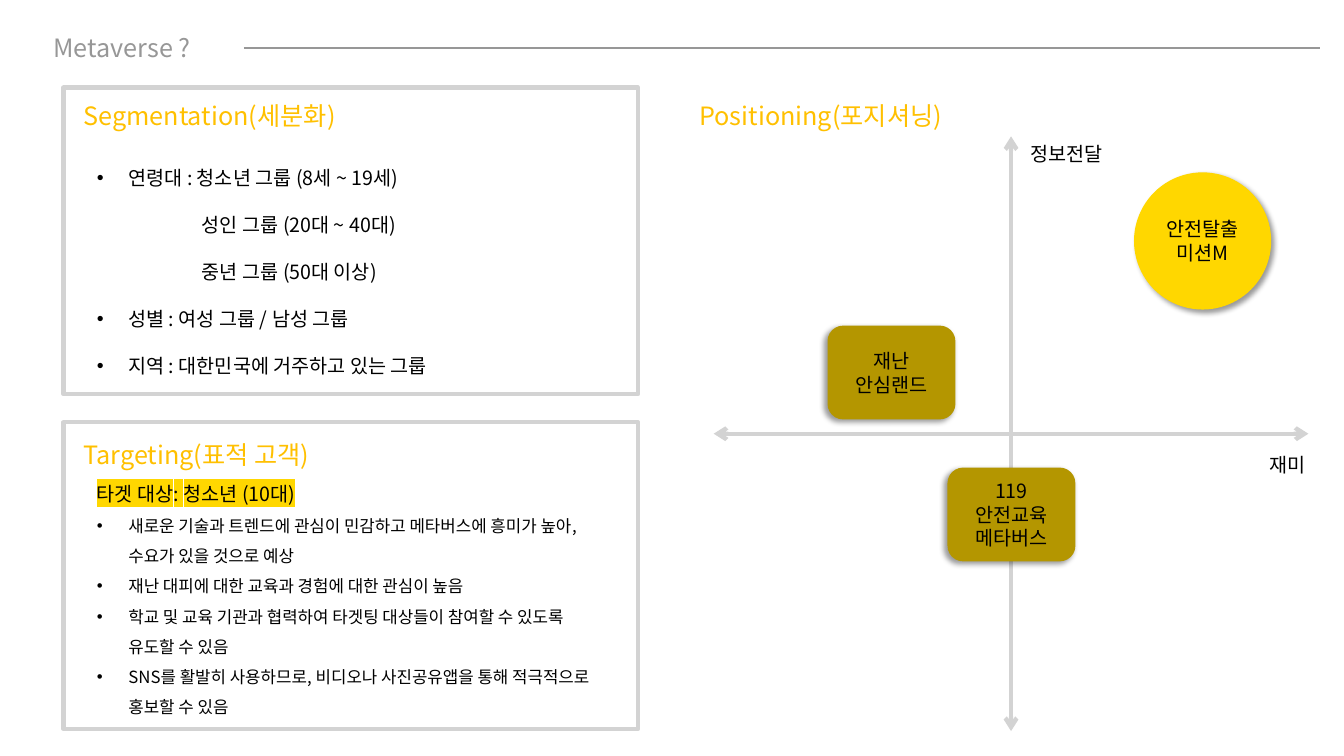
from lxml import etree
from pptx import Presentation
from pptx import util as u
from pptx.dml import color
from pptx.enum import shapes, text
from pptx.oxml import ns

COLORS = {"grey": "979797", "frame": "D3D3D3", "heading": "FFC000",
          "ink": "000000", "own": "FFD700", "rival": "B49600"}
FONT = "Noto Sans CJK KR"
LEFT, CENTER, RIGHT = text.PP_ALIGN.LEFT, text.PP_ALIGN.CENTER, text.PP_ALIGN.RIGHT


def rgb(name):
    return color.RGBColor.from_string(COLORS[name])


def child(parent, tag, **attrs):
    return etree.SubElement(parent, ns.qn(tag), attrs)


class SlideBuilder:
    def __init__(self, slide):
        self.s = slide

    def place(self, sp, x, y, w, h):
        sp.left, sp.top, sp.width, sp.height = (u.Pt(v) for v in (x, y, w, h))

    def frame(self, sp, anchor=text.MSO_ANCHOR.TOP):
        tf = sp.text_frame
        tf.word_wrap = True
        tf.auto_size = text.MSO_AUTO_SIZE.NONE
        tf.vertical_anchor = anchor
        return tf

    def fill_text(self, tf, lines, size=14, ink="ink", align=LEFT):
        tf.text = "\n".join(lines)
        for p in tf.paragraphs:
            self.style(p, size, ink, align)

    def style(self, p, size, ink="ink", align=LEFT):
        p.alignment = align
        p.space_before = u.Pt(0)
        p.font.size = u.Pt(size)
        p.font.name = FONT
        p.font.color.rgb = rgb(ink)
        child(p.font._element, "a:ea", typeface=FONT)

    def title(self, line, *box):
        sp = self.s.shapes.title
        self.place(sp, *box)
        self.fill_text(self.frame(sp), [line], 18, "grey")

    def label(self, line, *box, size=14, ink="ink", align=LEFT):
        sp = self.s.shapes.add_textbox(*(u.Pt(v) for v in box))
        self.fill_text(self.frame(sp), [line], size, ink, align)

    def body(self, idx, items, *box):
        sp = self.s.placeholders[idx]
        self.place(sp, *box)
        tf = self.frame(sp)
        for i, (line, kind, size, spacing) in enumerate(items):
            p = tf.paragraphs[0] if i == 0 else tf.add_paragraph()
            r = p.add_run()
            r.text = line
            p.line_spacing = spacing
            p.space_before = u.Pt(0)
            pPr = p._p.get_or_add_pPr()
            margin, indent = {"bullet": (22.5, -22.5), "sub": (75, 0), "mark": (0, 0)}[kind]
            pPr.set("marL", str(u.Pt(margin)))
            pPr.set("indent", str(u.Pt(indent)))
            if kind == "bullet":
                child(pPr, "a:buFont", typeface="Arial")
                child(pPr, "a:buChar", char="•")
            else:
                child(pPr, "a:buNone")
            if kind == "sub":
                p.level = 1
            if kind == "mark":
                mark = child(r._r.get_or_add_rPr(), "a:highlight")
                child(mark, "a:srgbClr", val=COLORS["own"])
            self.style(p, size)

    def line(self, x1, y1, x2, y2, ink, width, arrows=False):
        c = self.s.shapes.add_connector(
            shapes.MSO_CONNECTOR.STRAIGHT, *(u.Pt(v) for v in (x1, y1, x2, y2)))
        c.line.color.rgb = rgb(ink)
        c.line.width = u.Pt(width)
        spPr = c._element.spPr
        if arrows:
            for end in ("a:headEnd", "a:tailEnd"):
                child(spPr.find(ns.qn("a:ln")), end, type="arrow")
        child(spPr, "a:effectLst")

    def panel(self, *box):
        sp = self.s.shapes.add_shape(
            shapes.MSO_SHAPE.RECTANGLE, *(u.Pt(v) for v in box))
        sp.shadow.inherit = False
        sp.fill.background()
        sp.line.color.rgb = rgb("frame")
        sp.line.width = u.Pt(3)

    def marker(self, kind, lines, fill, angle, *box):
        sp = self.s.shapes.add_shape(kind, *(u.Pt(v) for v in box))
        sp.fill.solid()
        sp.fill.fore_color.rgb = rgb(fill)
        sp.line.fill.background()
        sp.shadow.inherit = False
        effects = sp._element.spPr.find(ns.qn("a:effectLst"))
        shadow = child(effects, "a:outerShdw", blurRad=str(u.Pt(4)), dist=str(u.Pt(3)),
                       dir=str(angle * 60000), algn="ctr", rotWithShape="0")
        child(child(shadow, "a:srgbClr", val=COLORS["ink"]), "a:alpha", val="40000")
        tf = self.frame(sp, text.MSO_ANCHOR.MIDDLE)
        tf.margin_left = tf.margin_right = 0
        self.fill_text(tf, lines, align=CENTER)


def main():
    prs = Presentation()
    prs.slide_width, prs.slide_height = u.Pt(960), u.Pt(540)
    b = SlideBuilder(prs.slides.add_slide(prs.slide_layouts[3]))

    b.title("Metaverse ?", 31, 19.4, 198.7, 29)
    b.line(174.2, 34, 943.2, 34, "grey", 1.5)
    for top in (62.6, 301.7):
        b.panel(45.4, top, 410.4, 219)

    for heading, x, y in (("Segmentation(세분화)", 52.6, 68.4),
                          ("Targeting(표적 고객)", 52.6, 310.3),
                          ("Positioning(포지셔닝)", 492.5, 68.4)):
        b.label(heading, x, y, 294, 29, size=18, ink="heading")

    b.body(1, [("연령대 : 청소년 그룹 (8세 ~ 19세)", "bullet", 14, 2.0),
               ("성인 그룹 (20대 ~ 40대)", "sub", 14, 2.0),
               ("중년 그룹 (50대 이상)", "sub", 14, 2.0),
               ("성별 : 여성 그룹 / 남성 그룹", "bullet", 14, 2.0),
               ("지역 : 대한민국에 거주하고 있는 그룹", "bullet", 14, 2.0)],
           62, 98, 366.5, 173)
    reasons = ["새로운 기술과 트렌드에 관심이 민감하고 메타버스에 흥미가 높아, 수요가 있을 것으로 예상",
               "재난 대피에 대한 교육과 경험에 대한 관심이 높음",
               "학교 및 교육 기관과 협력하여 타겟팅 대상들이 참여할 수 있도록 유도할 수 있음",
               "SNS를 활발히 사용하므로, 비디오나 사진공유앱을 통해 적극적으로 홍보할 수 있음"]
    b.body(2, [("타겟 대상: 청소년 (10대)", "mark", 14, 1.0)]
           + [(reason, "bullet", 12, 1.5) for reason in reasons],
           62, 340.6, 366.5, 175)

    cx, cy, half = 722.2, 309.8, 212.4
    b.line(cx, cy + half, cx, cy - half, "frame", 3, arrows=True)
    b.line(cx - half, cy, cx + half, cy, "frame", 3, arrows=True)
    b.label("정보전달", cx, 98, 79.2, 24.5, align=CENTER)
    b.label("재미", 888.5, 319.7, 51, 24.5, align=RIGHT)

    b.marker(shapes.MSO_SHAPE.OVAL, ["안전탈출", "미션M"], "own", 45, 810, 123.1, 98, 98)
    for lines, x, y in ((["재난", "안심랜드"], 591.1, 232.6),
                        (["119", "안전교육", "메타버스"], 676.8, 334)):
        b.marker(shapes.MSO_SHAPE.ROUNDED_RECTANGLE, lines, "rival", 135, x, y, 91.4, 67)

    prs.save("out.pptx")


if __name__ == "__main__":
    main()
